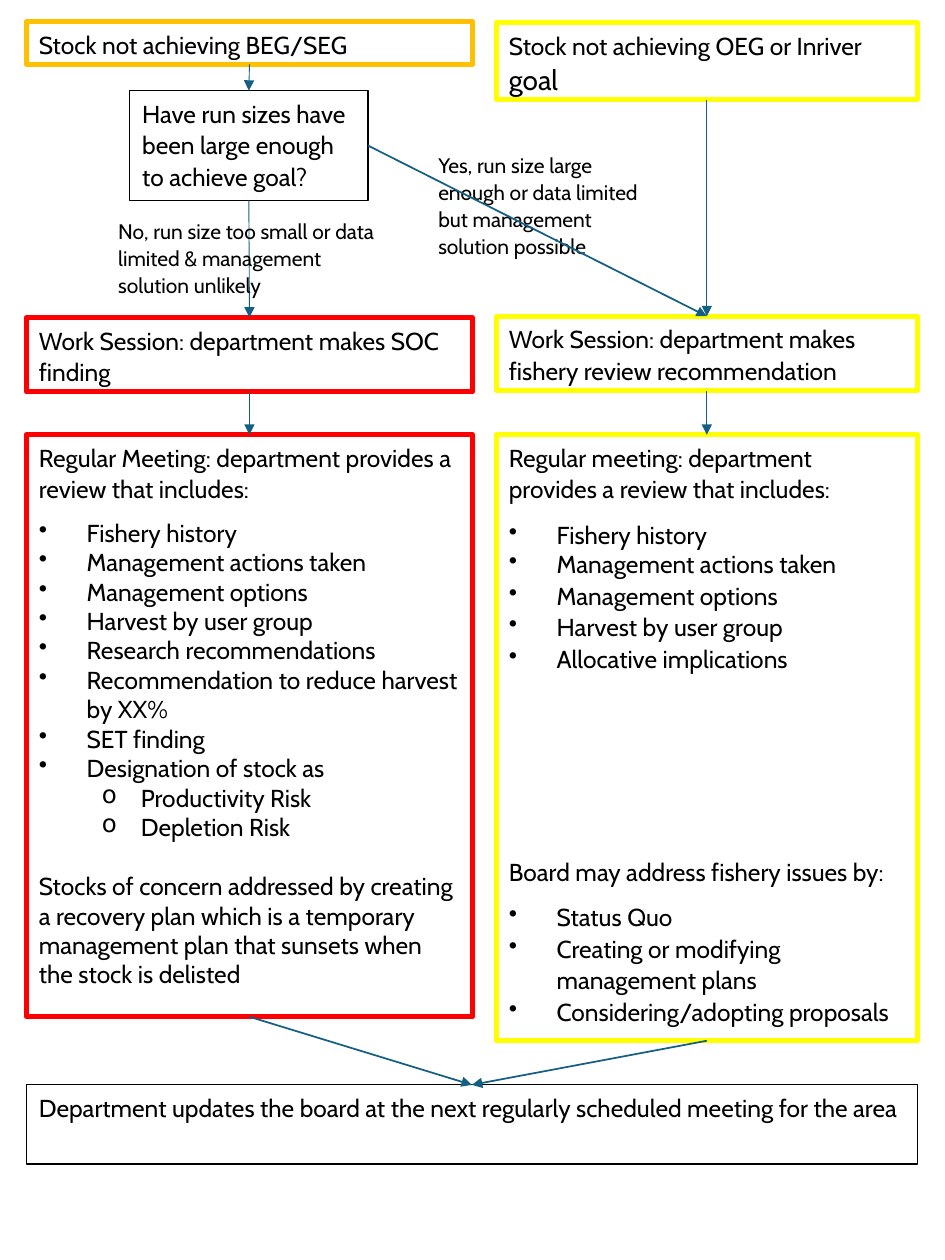
import pptx
import pptx.dml.color
import pptx.enum.shapes
import pptx.enum.text
import pptx.oxml
import pptx.oxml.ns
import pptx.util
from pptx.util import Inches

FONT = "Cabin"
BLACK, WHITE, ORANGE, YELLOW, RED, BLUE = (
    "000000", "FFFFFF", "FFC000", "FFFF00", "FF0000", "156082")
TOP, LEFT, BOTTOM, RIGHT = range(4)
LOOSE = 1.07
INDENTS = {"•": (0.38, 0.38), "o": (0.81, 0.31)}


def color(value):
    return pptx.dml.color.RGBColor.from_string(value)


def xml_child(parent, tag, **attributes):
    child = pptx.oxml.ns.qn(tag)
    element = parent.makeelement(child, attributes)
    parent.append(element)
    return element


def write(paragraph, text, size=14, spacing=LOOSE, before=0, after=8, bullet=None):
    paragraph.text = text
    paragraph.alignment = pptx.enum.text.PP_ALIGN.LEFT
    paragraph.line_spacing = spacing
    paragraph.space_before = pptx.util.Pt(before)
    paragraph.space_after = pptx.util.Pt(after)
    for run in paragraph.runs:
        style(run, size)
    if bullet:
        margin, hanging = INDENTS[bullet]
        properties = paragraph._p.get_or_add_pPr()
        properties.set("marL", str(Inches(margin)))
        properties.set("indent", str(-Inches(hanging)))
        xml_child(properties, "a:buChar", char=bullet)
        paragraph.level = 1 if bullet == "o" else 0


def style(run, size):
    run.font.name = FONT
    run.font.size = pptx.util.Pt(size)
    run.font.color.rgb = color(BLACK)


def add_step(slide, box, text, outline, weight=3):
    step = slide.shapes.add_shape(
        pptx.enum.shapes.MSO_SHAPE.RECTANGLE, *map(Inches, box))
    step.shadow.inherit = False
    step.fill.solid()
    step.fill.fore_color.rgb = color(WHITE)
    step.line.color.rgb = color(outline)
    step.line.width = pptx.util.Pt(weight)
    step.text_frame.vertical_anchor = pptx.enum.text.MSO_ANCHOR.TOP
    write(step.text_frame.paragraphs[0], text)
    return step


def add_bullets(step, items, spacing, bullet="•"):
    for item in items:
        write(step.text_frame.add_paragraph(), item, spacing=spacing, after=0, bullet=bullet)


def add_answer(slide, box, text):
    answer = slide.shapes.add_textbox(*map(Inches, box))
    answer.text_frame.word_wrap = True
    write(answer.text_frame.paragraphs[0], text, size=12)


def add_arrow(slide, start, end, weight=0.5, start_side=BOTTOM):
    arrow = slide.shapes.add_connector(
        pptx.enum.shapes.MSO_CONNECTOR.STRAIGHT, 0, 0, 0, 0)
    arrow.begin_connect(start, start_side)
    arrow.end_connect(end, TOP)
    arrow.line.color.rgb = color(BLUE)
    arrow.line.width = pptx.util.Pt(weight)
    xml_child(arrow.line._get_or_add_ln(), "a:tailEnd", type="triangle")
    xml_child(arrow._element.spPr, "a:effectLst")


def add_concern_column(slide, left, width):
    goal = add_step(slide, (left, 0.17, width, 0.34), "Stock not achieving BEG/SEG", ORANGE)
    question = add_step(slide, (left + 0.82, 0.72, 1.89, 0.87),
                        "Have run sizes have been large enough to achieve goal?", BLACK, 0.75)
    session = add_step(slide, (left, 2.52, width, 0.59),
                       "Work Session: department makes SOC finding", RED)
    meeting = add_step(slide, (left, 3.45, width, 4.62),
                       "Regular Meeting: department provides a review that includes:", RED)
    add_bullets(meeting, [
        "Fishery history", "Management actions taken", "Management options",
        "Harvest by user group", "Research recommendations",
        "Recommendation to reduce harvest by XX%", "SET finding",
        "Designation of stock as"], 1.0)
    add_bullets(meeting, ["Productivity Risk", "Depletion Risk"], 1.0, "o")
    write(meeting.text_frame.add_paragraph(),
          "Stocks of concern addressed by creating a recovery plan which is a temporary "
          "management plan that sunsets when the stock is delisted",
          spacing=1.0, before=17, after=0)
    add_arrow(slide, goal, question)
    add_arrow(slide, question, session)
    add_arrow(slide, session, meeting, 1)
    add_answer(slide, (left + 0.63, 1.67, 2.27, 0.83),
               "No, run size too small or data limited & management solution unlikely")
    return question, meeting


def add_review_column(slide, left, width):
    goal = add_step(slide, (left, 0.18, width, 0.61),
                    "Stock not achieving OEG or Inriver ", YELLOW)
    last_word = goal.text_frame.paragraphs[0].add_run()
    last_word.text = "goal"
    style(last_word, 16)
    session = add_step(slide, (left, 2.51, width, 0.59),
                       "Work Session: department makes fishery review recommendation", YELLOW)
    meeting = add_step(slide, (left, 3.45, width, 4.81),
                       "Regular meeting: department provides a review that includes:", YELLOW)
    add_bullets(meeting, [
        "Fishery history", "Management actions taken", "Management options",
        "Harvest by user group", "Allocative implications"], LOOSE)
    meeting.text_frame.paragraphs[2].line_spacing = 1.0
    write(meeting.text_frame.add_paragraph(), "Board may address fishery issues by:", before=104)
    add_bullets(meeting, [
        "Status Quo", "Creating or modifying management plans",
        "Considering/adopting proposals"], LOOSE)
    add_arrow(slide, goal, session)
    add_arrow(slide, session, meeting)
    return session, meeting


def add_update(slide, box, meetings):
    update = add_step(
        slide, box,
        "Department updates the board at the next regularly scheduled meeting for the area",
        BLACK, 0.75)
    for meeting in meetings:
        add_arrow(slide, meeting, update, 1)


def main():
    presentation = pptx.Presentation()
    presentation.slide_width = Inches(7.5)
    presentation.slide_height = Inches(10)
    slide = presentation.slides.add_slide(presentation.slide_layouts[6])
    question, concern_meeting = add_concern_column(slide, 0.21, 3.54)
    review_session, review_meeting = add_review_column(slide, 3.94, 3.34)
    add_answer(slide, (3.38, 1.15, 1.89, 1.1),
               "Yes, run size large enough or data limited but management solution possible")
    add_arrow(slide, question, review_session, 1, RIGHT)
    add_update(slide, (0.21, 8.61, 7.07, 0.63), (concern_meeting, review_meeting))
    presentation.save("out.pptx")


if __name__ == "__main__":
    main()
